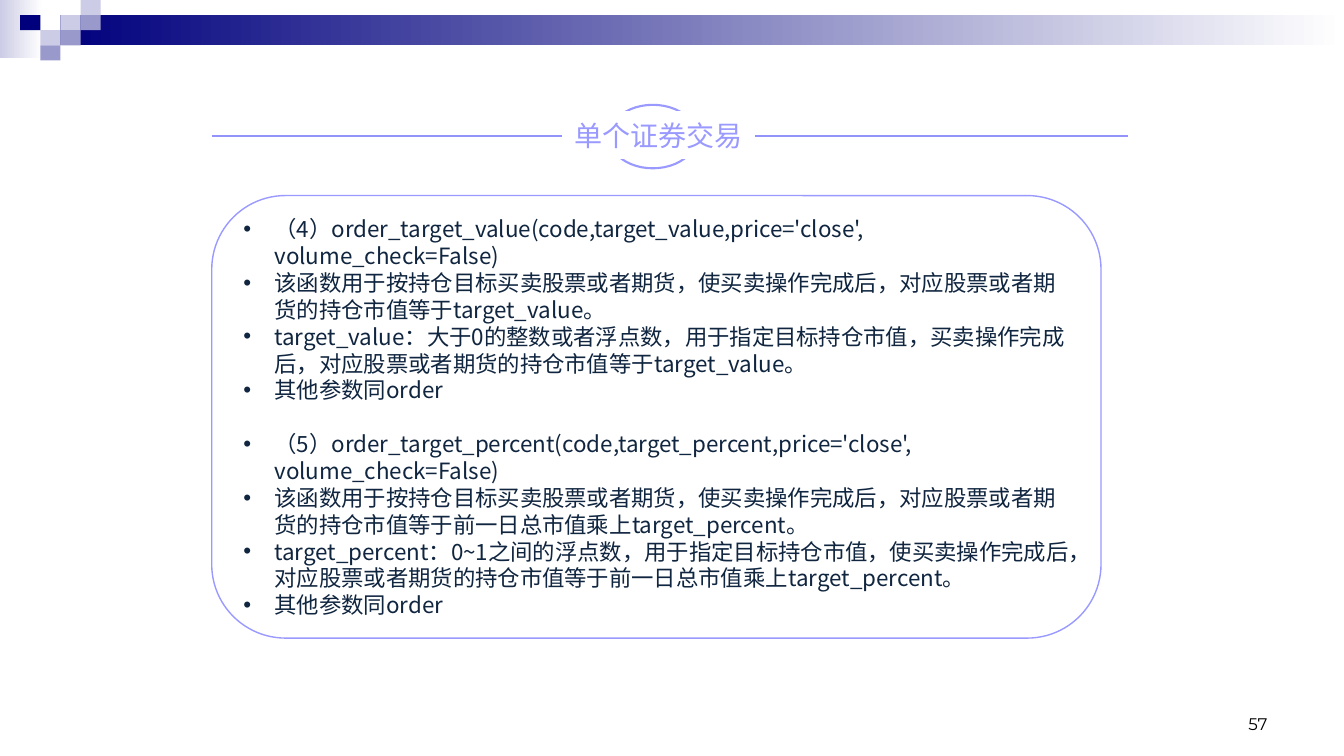
"""Build the slide on trading a single security."""
from dataclasses import dataclass

from lxml import etree
from pptx import Presentation
from pptx.dml.color import RGBColor
from pptx.enum.shapes import MSO_CONNECTOR, MSO_SHAPE
from pptx.enum.text import MSO_ANCHOR, PP_ALIGN
from pptx.oxml.ns import qn
from pptx.util import Pt

RECT, OVAL, ROUND = MSO_SHAPE.RECTANGLE, MSO_SHAPE.OVAL, MSO_SHAPE.ROUNDED_RECTANGLE
STRAIGHT = MSO_CONNECTOR.STRAIGHT
LEFT, CENTER, RIGHT = PP_ALIGN.LEFT, PP_ALIGN.CENTER, PP_ALIGN.RIGHT
MIDDLE, BOTTOM = MSO_ANCHOR.MIDDLE, MSO_ANCHOR.BOTTOM


@dataclass(frozen=True)
class Theme:
    """Colours, fonts and type sizes of the slide."""
    navy: str = "00007D"
    mid: str = "9999CC"
    pale: str = "CCCCE6"
    white: str = "FFFFFF"
    violet: str = "9999FF"
    rule: str = "9393FC"
    ink: str = "10253F"
    black: str = "000000"
    sans: str = "Noto Sans CJK SC"
    digit: str = "Montserrat"
    title: int = 20
    body: int = 16
    small: int = 12
    lead: float = 1.2


class Board:
    """Draw styled elements on one slide, with lengths in px."""

    def __init__(self, theme, slide, scale):
        """Keep the theme, the slide and the EMU per px."""
        self.theme, self.slide, self.scale = theme, slide, scale

    def emu(self, *sizes):
        """Turn px into EMU."""
        return [size * self.scale for size in sizes]

    def shape(self, kind, box, fill=None, line=None, width=1):
        """Add a preset shape; a pair of fills makes a gradient."""
        item = self.slide.shapes.add_shape(kind, *self.emu(*box))
        item.shadow.inherit = False
        if fill is None:
            item.fill.background()
        elif isinstance(fill, tuple):
            item.fill.gradient()
            item.fill.gradient_angle = 0
            for stop, tint in zip(item.fill.gradient_stops, fill):
                stop.color.rgb = RGBColor.from_string(tint)
        else:
            item.fill.solid()
            item.fill.fore_color.rgb = RGBColor.from_string(fill)
        if line:
            item.line.color.rgb = RGBColor.from_string(line)
            item.line.width = Pt(width)
        else:
            item.line.fill.background()
        return item

    def line(self, start, end, color, width):
        """Add a straight line."""
        item = self.slide.shapes.add_connector(STRAIGHT, *self.emu(*start, *end))
        item.line.color.rgb = RGBColor.from_string(color)
        item.line.width = Pt(width)
        etree.SubElement(item._element.spPr, qn("a:effectLst"))

    def style(self, para, size, color, face, align):
        """Set the type of a paragraph."""
        para.alignment = align
        para.line_spacing = Pt(size * self.theme.lead)
        para.font.size = Pt(size)
        para.font.color.rgb = RGBColor.from_string(color)
        para.font.name = face
        props = para._p.get_or_add_pPr().get_or_add_defRPr()
        etree.SubElement(props, qn("a:ea"), typeface=face)

    def label(self, item, text, size, color, face, align, anchor, wrap=True):
        """Write one paragraph into a shape."""
        frame = item.text_frame
        frame.word_wrap, frame.vertical_anchor = wrap, anchor
        frame.text = text
        self.style(frame.paragraphs[0], size, color, face, align)

    def text(self, box, *look):
        """Add a text box with one paragraph."""
        self.label(self.slide.shapes.add_textbox(*self.emu(*box)), *look)

    def bullets(self, item, groups, indent):
        """Write groups of bullets, one empty line apart."""
        theme, frame = self.theme, item.text_frame
        frame.word_wrap, frame.vertical_anchor = True, MIDDLE
        inset = self.emu(indent)[0]
        rows = [(text, not i and g) for g, group in enumerate(groups)
                for i, text in enumerate(group)]
        for n, (text, gap) in enumerate(rows):
            para = frame.add_paragraph() if n else frame.paragraphs[0]
            para.text = text
            para.space_before = Pt(theme.body * theme.lead if gap else 0)
            props = para._p.get_or_add_pPr()
            props.set("marL", str(inset))
            props.set("indent", str(-inset))
            etree.SubElement(props, qn("a:buFont"), typeface="Arial")
            etree.SubElement(props, qn("a:buChar"), char="•")
            self.style(para, theme.body, theme.ink, theme.sans, LEFT)


def main():
    """Build and save the slide."""
    deck = Presentation()
    theme, scale = Theme(), 9144
    deck.slide_width, deck.slide_height = 1333 * scale, 750 * scale
    board = Board(theme, deck.slides.add_slide(deck.slide_layouts[6]), scale)

    board.shape(RECT, (0, 0, 42, 58), (theme.pale, theme.white))
    board.shape(RECT, (60, 15, 1273, 30), (theme.navy, theme.white))
    wide, high = 20, 15
    tiles = [(3, 1, theme.pale), (4, 0, theme.pale), (4, 1, theme.mid),
             (2, 2, theme.pale), (1, 1, theme.navy), (3, 2, theme.mid),
             (2, 3, theme.mid)]
    for col, row, tint in tiles:
        board.shape(RECT, (col * wide, row * high, wide, high), tint)

    board.line((210, 135), (1119, 135), theme.rule, 1.5)
    board.shape(OVAL, (604, 104, 87, 63), theme.white, theme.violet, 1.5)
    title = board.shape(RECT, (559, 112, 188, 44), theme.white, theme.white, 2)
    board.label(title, "单个证券交易", theme.title, theme.violet, theme.sans,
                CENTER, MIDDLE, False)

    panel = board.shape(ROUND, (210, 194, 882, 439), None, theme.violet)
    aim = "该函数用于按持仓目标买卖股票或者期货，使买卖操作完成后，对应股票或者期货的持仓市值等于"
    other = "其他参数同order"
    board.bullets(panel, [
        ["（4）order_target_value(code,target_value,price='close', volume_check=False)",
         aim + "target_value。",
         "target_value：大于0的整数或者浮点数，用于指定目标持仓市值，买卖操作完成后，"
         "对应股票或者期货的持仓市值等于target_value。",
         other],
        ["（5）order_target_percent(code,target_percent,price='close', volume_check=False)",
         aim + "前一日总市值乘上target_percent。",
         "target_percent：0~1之间的浮点数，用于指定目标持仓市值，使买卖操作完成后，"
         "对应股票或者期货的持仓市值等于前一日总市值乘上target_percent。",
         other],
    ], 31)

    board.text((956, 683, 311, 50), "57", theme.small, theme.black, theme.digit,
               RIGHT, BOTTOM)
    deck.save("out.pptx")


if __name__ == "__main__":
    main()
